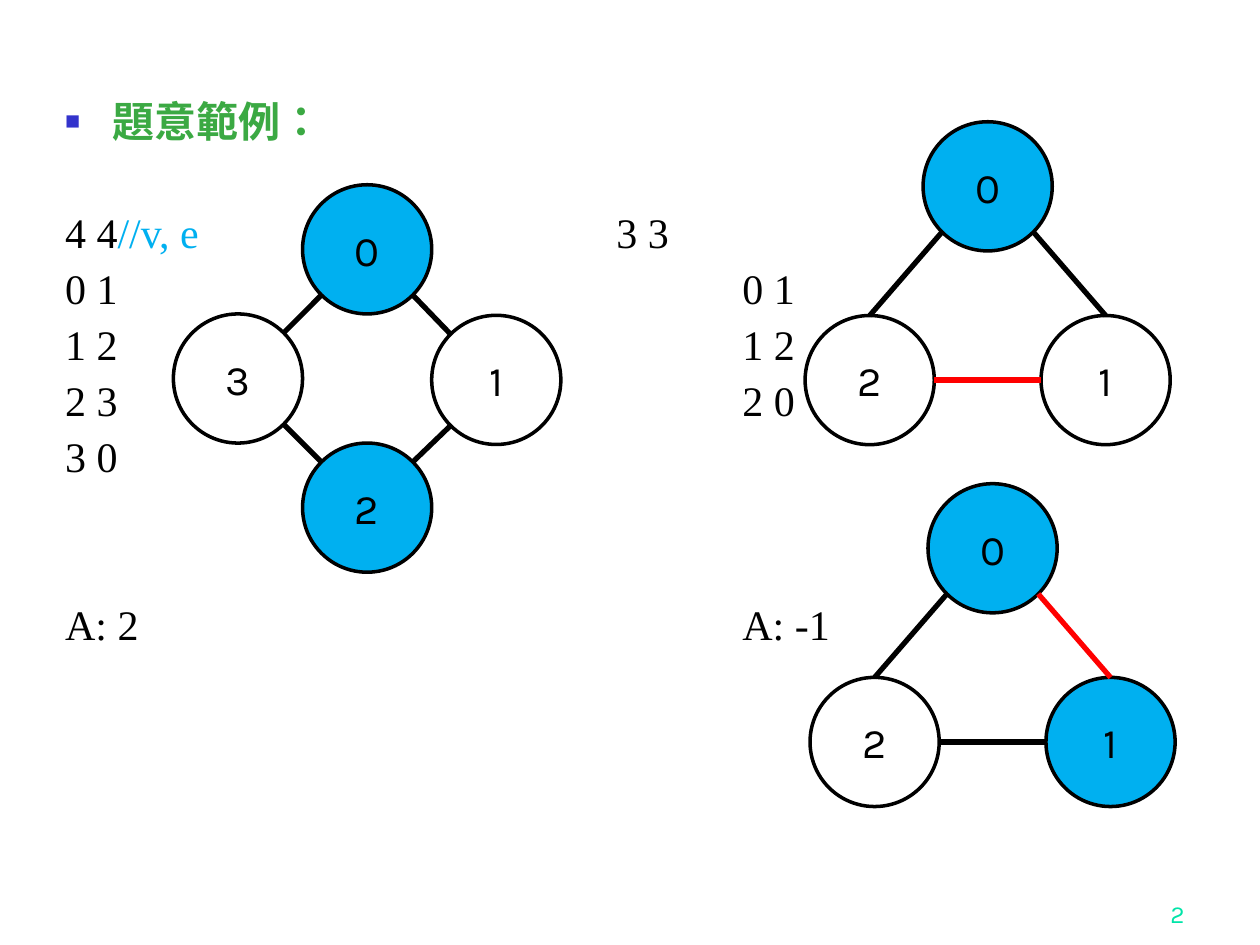
import math

import pptx
import pptx.dml.color
import pptx.enum.lang
import pptx.enum.shapes
import pptx.enum.text
import pptx.oxml.ns
import pptx.util
from lxml import etree

Pt = pptx.util.Pt
qn = pptx.oxml.ns.qn

BLACK, WHITE, BLUE, RED = "000000", "FFFFFF", "00B0F0", "FF0000"
GREEN, MINT, INDIGO = "3BA943", "00E4A8", "3333CC"
SERIF, SANS = "Times New Roman", "Karla"
DIAMETER = 73.8
NEAR_COLUMN, FAR_COLUMN = 315, 387

HEADING = "題意範例："
ROWS = [
    (38, NEAR_COLUMN, [("4 4", BLACK), ("//v, e", BLUE), ("\t3 3", BLACK)]),
    (6, FAR_COLUMN, [("0 1\t0 1", BLACK)]),
    (6, FAR_COLUMN, [("1 2\t1 2", BLACK)]),
    (6, FAR_COLUMN, [("2 3\t2 0", BLACK)]),
    (6, FAR_COLUMN, [("3 0", BLACK)]),
    (70, FAR_COLUMN, [("A: 2\tA: -1", BLACK)]),
]
PAGE_NUMBER = "2"

DIAMOND = {"0": (73.8, 0), "3": (0, 73.8), "2": (73.8, 147.6), "1": (147.6, 74.6)}
TRIANGLE = {"0": (67.4, 0), "2": (0, 110.7), "1": (134.8, 110.7)}
ANGLES = {"right": 0, "lower right": 45, "lower left": 135, "left": 180,
          "upper left": 225, "top": 270, "upper right": 315}
DIAMOND_EDGES = [
    ("0", "lower right", "1", "upper left"),
    ("1", "lower left", "2", "upper right"),
    ("3", "lower right", "2", "upper left"),
    ("0", "lower left", "3", "upper right"),
]
TRIANGLE_EDGES = [
    ("0", "lower right", "1", "top"),
    ("1", "left", "2", "right"),
    ("0", "lower left", "2", "top"),
]
GRAPHS = [
    {"origin": (136, 142.5), "nodes": DIAMOND, "edges": DIAMOND_EDGES,
     "coloured": "02", "conflict": None},
    {"origin": (497, 106.5), "nodes": TRIANGLE, "edges": TRIANGLE_EDGES,
     "coloured": "0", "conflict": ("1", "2")},
    {"origin": (499.8, 313.3), "nodes": TRIANGLE, "edges": TRIANGLE_EDGES,
     "coloured": "01", "conflict": ("0", "1")},
]


def colour(hex_string):
    return pptx.dml.color.RGBColor.from_string(hex_string)


def add_run(paragraph, text, size, font_name, hex_string, bold=False):
    run = paragraph.add_run()
    run.text = text
    run.font.size = Pt(size)
    run.font.name = font_name
    run.font.bold = bold
    run.font.color.rgb = colour(hex_string)
    return run


def set_indent(paragraph, left, first):
    properties = paragraph._p.get_or_add_pPr()
    properties.set("marL", str(Pt(left)))
    properties.set("indent", str(Pt(first)))
    return properties


def add_square_bullet(paragraph):
    properties = set_indent(paragraph, 27, -27)
    bullet_colour = etree.SubElement(properties, qn("a:buClr"))
    etree.SubElement(bullet_colour, qn("a:srgbClr"), val=INDIGO)
    etree.SubElement(properties, qn("a:buSzPct"), val="60000")
    etree.SubElement(properties, qn("a:buFont"), typeface="Arial")
    etree.SubElement(properties, qn("a:buChar"), char="■")


def add_tab_stop(paragraph, position):
    properties = set_indent(paragraph, 0, 0)
    properties.set("defTabSz", str(Pt(position)))
    etree.SubElement(properties, qn("a:buNone"))
    tabs = etree.SubElement(properties, qn("a:tabLst"))
    etree.SubElement(tabs, qn("a:tab"), pos=str(Pt(position)), algn="l")


def fill_body(body):
    body.left, body.top, body.width, body.height = Pt(30), Pt(54), Pt(636), Pt(443)
    frame = body.text_frame
    frame.auto_size = pptx.enum.text.MSO_AUTO_SIZE.NONE
    heading = frame.paragraphs[0]
    add_square_bullet(heading)
    heading.space_before = Pt(0)
    heading.line_spacing = 0.9
    run = add_run(heading, HEADING, 24, SERIF, GREEN, bold=True)
    run.font.language_id = pptx.enum.lang.MSO_LANGUAGE_ID.TRADITIONAL_CHINESE
    for space_before, column, runs in ROWS:
        paragraph = frame.add_paragraph()
        add_tab_stop(paragraph, column)
        paragraph.space_before = Pt(space_before)
        paragraph.line_spacing = 0.9
        for text, hex_string in runs:
            add_run(paragraph, text, 24, SERIF, hex_string)


def add_node(slide, label, centre, fill):
    x, y = centre
    shape = slide.shapes.add_shape(
        pptx.enum.shapes.MSO_SHAPE.OVAL, Pt(x - DIAMETER / 2), Pt(y - DIAMETER / 2),
        Pt(DIAMETER), Pt(DIAMETER))
    shape.shadow.inherit = False
    shape.fill.solid()
    shape.fill.fore_color.rgb = colour(fill)
    shape.line.color.rgb = colour(BLACK)
    shape.line.width = Pt(2)
    frame = shape.text_frame
    frame.word_wrap = False
    frame.vertical_anchor = pptx.enum.text.MSO_ANCHOR.MIDDLE
    paragraph = frame.paragraphs[0]
    paragraph.alignment = pptx.enum.text.PP_ALIGN.CENTER
    add_run(paragraph, label, 24, SANS, BLACK)


def rim_point(centre, side):
    angle = math.radians(ANGLES[side])
    return (Pt(centre[0] + DIAMETER / 2 * math.cos(angle)),
            Pt(centre[1] + DIAMETER / 2 * math.sin(angle)))


def add_edge(slide, start, end, hex_string):
    connector = slide.shapes.add_connector(
        pptx.enum.shapes.MSO_CONNECTOR.STRAIGHT, *start, *end)
    connector.line.color.rgb = colour(hex_string)
    connector.line.width = Pt(3)
    etree.SubElement(connector._element.spPr, qn("a:effectLst"))


def add_graph(slide, graph):
    left, top = graph["origin"]
    centres = {label: (left + x, top + y) for label, (x, y) in graph["nodes"].items()}
    for label, centre in centres.items():
        add_node(slide, label, centre, BLUE if label in graph["coloured"] else WHITE)
    for first, first_side, second, second_side in graph["edges"]:
        add_edge(slide, rim_point(centres[first], first_side),
                 rim_point(centres[second], second_side),
                 RED if (first, second) == graph["conflict"] else BLACK)


def add_page_number(slide):
    frame = slide.shapes.add_textbox(Pt(534), Pt(498), Pt(150), Pt(36)).text_frame
    frame.word_wrap = True
    frame.vertical_anchor = pptx.enum.text.MSO_ANCHOR.BOTTOM
    paragraph = frame.paragraphs[0]
    paragraph.alignment = pptx.enum.text.PP_ALIGN.RIGHT
    add_run(paragraph, PAGE_NUMBER, 14, SANS, MINT)


def main():
    presentation = pptx.Presentation()
    presentation.slide_width, presentation.slide_height = Pt(720), Pt(540)
    slide = presentation.slides.add_slide(presentation.slide_layouts[1])
    title = slide.shapes.title._element
    title.getparent().remove(title)
    fill_body(slide.placeholders[1])
    for graph in GRAPHS:
        add_graph(slide, graph)
    add_page_number(slide)
    presentation.save("out.pptx")


if __name__ == "__main__":
    main()
